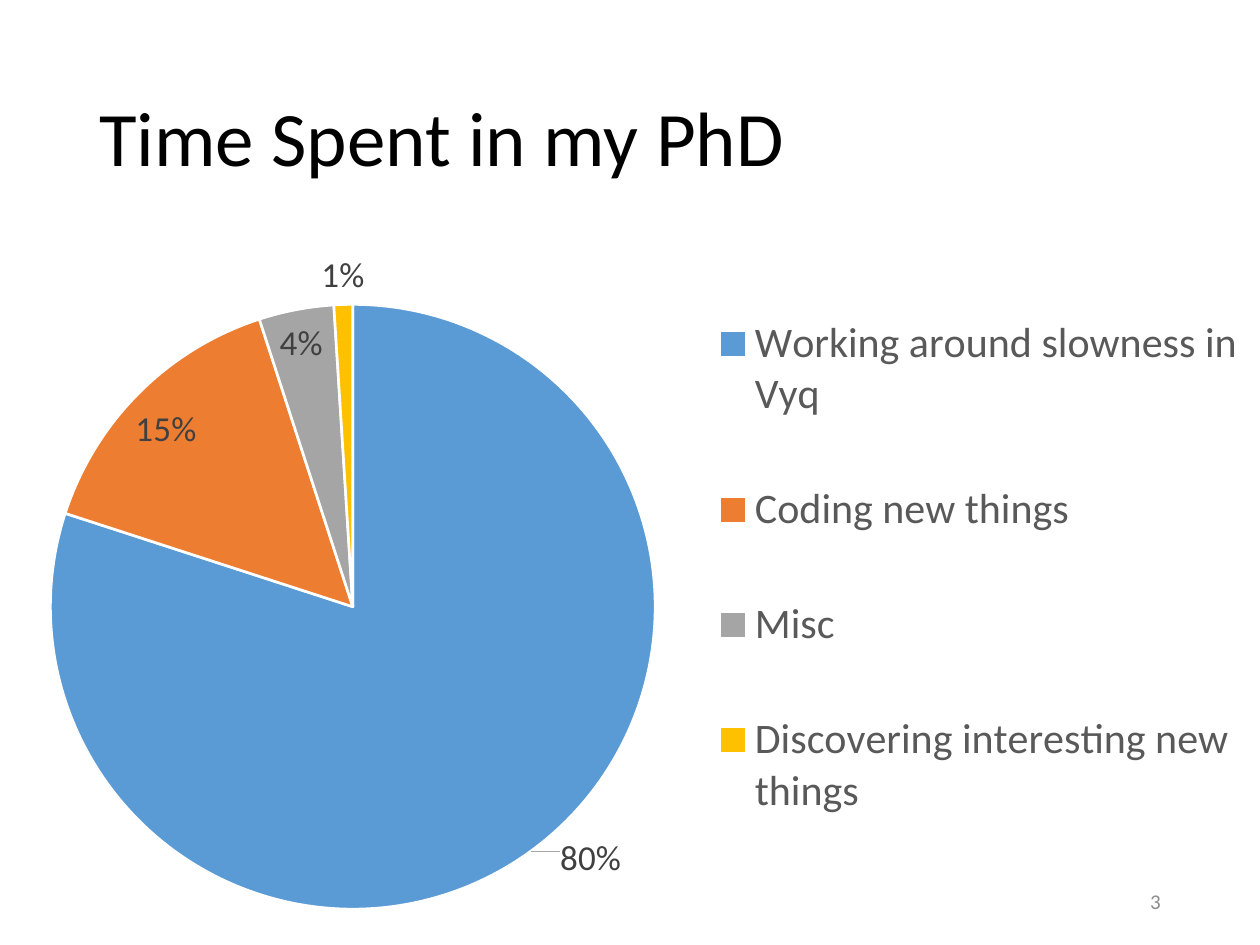
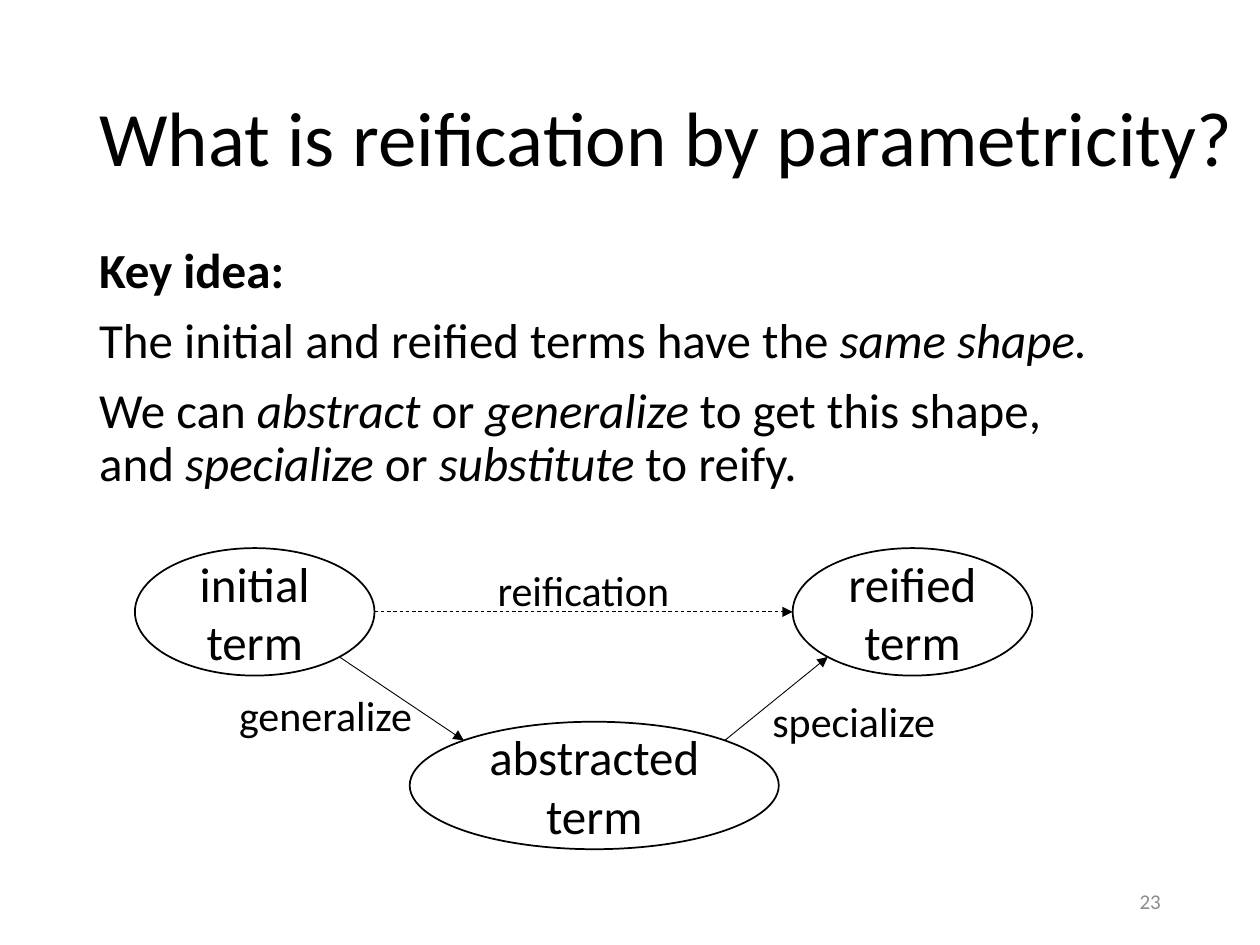
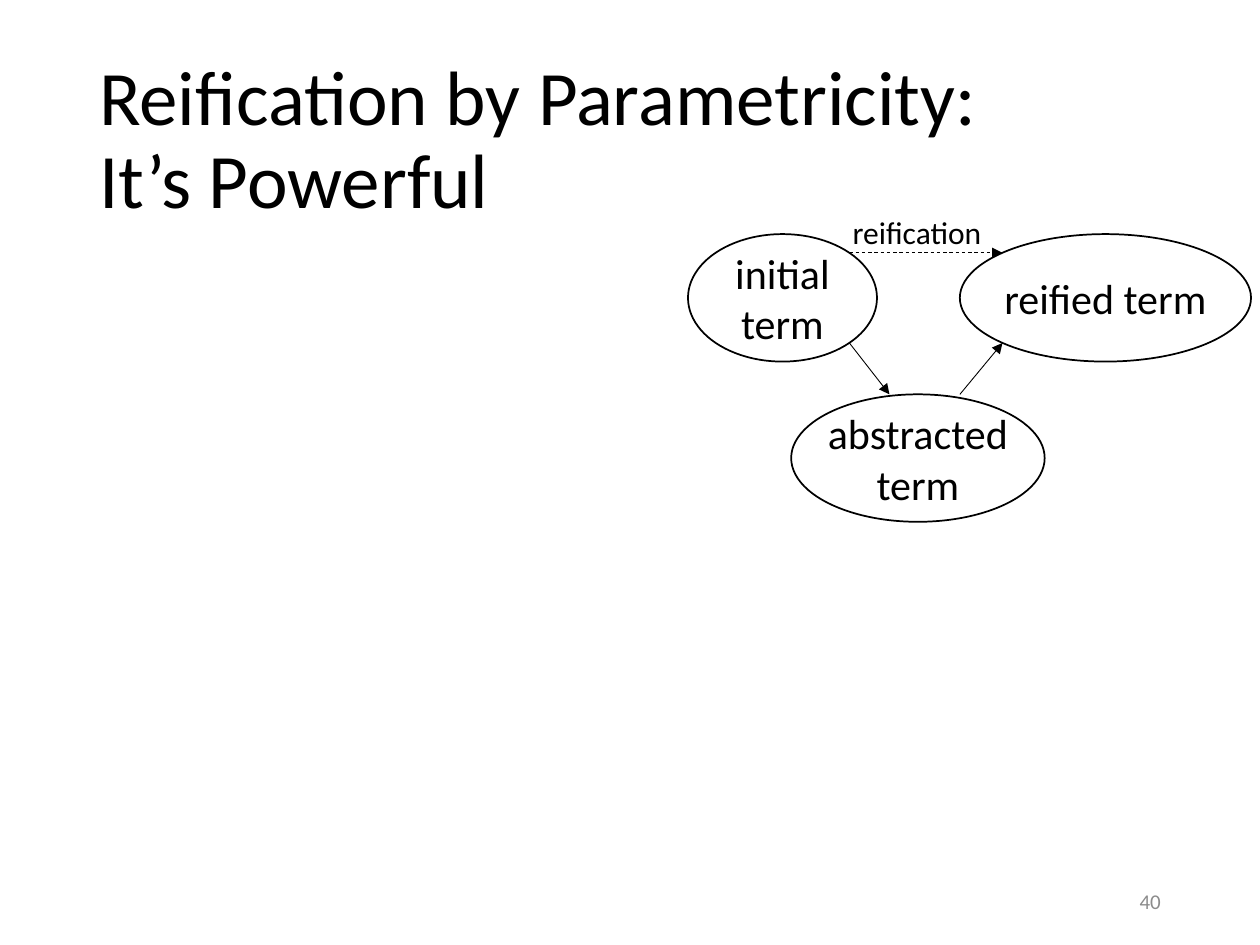
from math import sqrt

from lxml import etree
from pptx import Presentation
from pptx import util as u
from pptx.chart.data import CategoryChartData
from pptx.dml.color import RGBColor
from pptx.enum import chart as charts
from pptx.enum import dml, shapes, text
from pptx.oxml import parse_xml
from pptx.oxml.ns import nsdecls, qn

FONT = "Calibri"
BLACK = RGBColor(0x00, 0x00, 0x00)
WHITE = RGBColor(0xFF, 0xFF, 0xFF)
NUMBER_GREY = RGBColor(0x8C, 0x8C, 0x8C)
LEGEND_GREY = RGBColor(0x59, 0x59, 0x59)
LABEL_GREY = RGBColor(0x40, 0x40, 0x40)
LEADER_GREY = RGBColor(0xA6, 0xA6, 0xA6)
SLICE_COLOURS = [
    RGBColor(0x5B, 0x9B, 0xD5),
    RGBColor(0xED, 0x7D, 0x31),
    RGBColor(0xA5, 0xA5, 0xA5),
    RGBColor(0xFF, 0xC0, 0x00),
]
OVAL_HEIGHT = 2.57
MARGIN = 1.75


def set_font(font, size, colour=BLACK):
    """Apply the deck's typeface with a size and a colour."""
    font.name = FONT
    font.size = u.Pt(size)
    font.color.rgb = colour


def add_text_box(slide, left, top, width, height, wrap=True):
    """Add an empty text box, in centimetres, and return its text frame."""
    box = slide.shapes.add_textbox(u.Cm(left), u.Cm(top), u.Cm(width), u.Cm(height))
    box.text_frame.word_wrap = wrap
    return box.text_frame


def add_base_slide(presentation, title, number, title_width=23.65):
    """Add a blank slide with the shared title and page number."""
    slide = presentation.slides.add_slide(presentation.slide_layouts[6])

    frame = add_text_box(slide, MARGIN, 1.02, title_width, 3.68)
    frame.vertical_anchor = text.MSO_ANCHOR.MIDDLE
    paragraph = frame.paragraphs[0]
    paragraph.text = title
    paragraph.line_spacing = 0.9
    set_font(paragraph.font, 44)

    frame = add_text_box(slide, 17.93, 17.65, 5.72, 1.02)
    frame.vertical_anchor = text.MSO_ANCHOR.MIDDLE
    paragraph = frame.paragraphs[0]
    paragraph.text = str(number)
    paragraph.alignment = text.PP_ALIGN.RIGHT
    set_font(paragraph.font, 12, NUMBER_GREY)
    return slide


def add_emphasised_text(paragraph, content):
    """Fill a paragraph; parts between asterisks become italic."""
    for index, part in enumerate(content.split("*")):
        for line_index, line in enumerate(part.split("\n")):
            if line_index:
                paragraph.add_line_break()
            if line:
                run = paragraph.add_run()
                run.text = line
                if index % 2:
                    run.font.italic = True


def add_body(slide, contents):
    """Add the body paragraphs, the first one as a bold lead."""
    frame = add_text_box(slide, MARGIN, 4.83, 22.63, 9.07)
    for index, content in enumerate(contents):
        paragraph = frame.add_paragraph() if index else frame.paragraphs[0]
        add_emphasised_text(paragraph, content)
        paragraph.line_spacing = 0.9
        paragraph.space_before = u.Pt(10)
        set_font(paragraph.font, 28)
        paragraph.font.bold = index == 0


def add_oval(slide, label, left, top, width, size, wrap):
    """Add an outlined term oval with a centred label."""
    oval = slide.shapes.add_shape(
        shapes.MSO_SHAPE.OVAL, u.Cm(left), u.Cm(top), u.Cm(width), u.Cm(OVAL_HEIGHT))
    oval.shadow.inherit = False
    oval.fill.solid()
    oval.fill.fore_color.rgb = WHITE
    oval.line.color.rgb = BLACK
    oval.line.width = u.Pt(1)
    frame = oval.text_frame
    frame.word_wrap = wrap
    frame.vertical_anchor = text.MSO_ANCHOR.MIDDLE
    paragraph = frame.paragraphs[0]
    paragraph.text = label
    paragraph.alignment = text.PP_ALIGN.CENTER
    set_font(paragraph.font, size)
    return oval


def rim_point(oval, across, down):
    """Return the diagonal rim point towards (across, down), each -1 or 1."""
    reach = 1 / sqrt(2)
    return (
        round(oval.left + oval.width / 2 * (1 + across * reach)),
        round(oval.top + oval.height / 2 * (1 + down * reach)),
    )


def add_arrow(slide, start, end, dashed=False):
    """Draw a thin arrow between two points."""
    arrow = slide.shapes.add_connector(shapes.MSO_CONNECTOR.STRAIGHT, *start, *end)
    arrow.line.color.rgb = BLACK
    arrow.line.width = u.Pt(0.5)
    if dashed:
        arrow.line.dash_style = dml.MSO_LINE.DASH
    line = arrow.line._get_or_add_ln()
    etree.SubElement(line, qn("a:tailEnd"), type="triangle")
    etree.SubElement(arrow._element.spPr, qn("a:effectLst"))


def add_arrow_label(slide, label, left, top, width, height, size):
    """Name an arrow with an unwrapped text box."""
    frame = add_text_box(slide, left, top, width, height, wrap=False)
    frame.auto_size = text.MSO_AUTO_SIZE.SHAPE_TO_FIT_TEXT
    frame.paragraphs[0].text = label
    set_font(frame.paragraphs[0].font, size)


def make_layout(inner=False, **fractions):
    """Build a manual chart layout from fractions of the chart area."""
    layout = parse_xml(f"<c:layout {nsdecls('c')}><c:manualLayout/></c:layout>")
    manual = layout[0]
    if inner:
        etree.SubElement(manual, qn("c:layoutTarget"), val="inner")
    if "w" in fractions:
        for mode in ("xMode", "yMode"):
            etree.SubElement(manual, qn(f"c:{mode}"), val="edge")
    for name, value in fractions.items():
        etree.SubElement(manual, qn(f"c:{name}"), val=str(value))
    return layout


def place(element, layout, after):
    """Put a layout behind the named child, replacing any earlier layout."""
    for earlier in element.findall(qn("c:layout")):
        element.remove(earlier)
    if after is None:
        element.insert(0, layout)
    else:
        element.find(qn(after)).addnext(layout)


def style_slice_labels(series):
    """Show percentages, with the largest slice's label on a leader line."""
    labels = series.data_labels
    labels.show_value = False
    labels.show_percentage = True
    labels.number_format = "0%"
    labels.number_format_is_linked = False
    labels.position = charts.XL_LABEL_POSITION.BEST_FIT
    set_font(labels.font, 20, LABEL_GREY)

    largest = series.points[0].data_label
    largest.position = charts.XL_LABEL_POSITION.BEST_FIT
    set_font(largest.font, 20, LABEL_GREY)
    element = largest._dLbl
    element.find(qn("c:showVal")).set("val", "0")
    element.find(qn("c:showPercent")).set("val", "1")
    place(element, make_layout(x=0.02, y=-0.03), "c:idx")

    group = labels._element
    leader = group.find(qn("c:showLeaderLines"))
    if leader is None:
        leader = etree.SubElement(group, qn("c:showLeaderLines"))
    leader.set("val", "1")
    leader.addnext(parse_xml(
        f"<c:leaderLines {nsdecls('c', 'a')}><c:spPr><a:ln w='9525'><a:solidFill>"
        f"<a:srgbClr val='{LEADER_GREY}'/></a:solidFill></a:ln></c:spPr></c:leaderLines>"))


def add_time_chart(slide, shares):
    """Add the pie of time shares with its legend on the right."""
    data = CategoryChartData()
    data.categories = list(shares)
    data.add_series("Series 1", list(shares.values()))
    chart = slide.shapes.add_chart(
        charts.XL_CHART_TYPE.PIE, u.Cm(0), u.Cm(4.7), u.Cm(25.4), u.Cm(14.35), data).chart
    set_font(chart.font, 10)
    chart.has_title = False
    chart.has_legend = True
    legend = chart.legend
    legend.position = charts.XL_LEGEND_POSITION.RIGHT
    legend.include_in_layout = False
    set_font(legend.font, 24, LEGEND_GREY)
    place(legend._element, make_layout(x=0.57, y=0.03, w=0.42, h=0.88), "c:legendPos")

    plot = chart.plots[0]
    plot.vary_by_categories = True
    series = plot.series[0]
    for index, colour in enumerate(SLICE_COLOURS):
        style = series.points[index].format
        style.fill.solid()
        style.fill.fore_color.rgb = colour
        style.line.color.rgb = WHITE
        style.line.width = u.Pt(1.5)
    style_slice_labels(series)
    plot_area = chart._chartSpace.chart.plotArea
    place(plot_area, make_layout(inner=True, x=0.04, y=0.1, w=0.48, h=0.85), None)


def add_time_slide(presentation):
    """Build the slide on how the time was spent."""
    slide = add_base_slide(presentation, "Time Spent in my PhD", 3, 21.9)
    add_time_chart(slide, {
        "Working around slowness in Vyq": 80,
        "Coding new things": 15,
        "Misc": 4,
        "Discovering interesting new things": 1,
    })


def add_idea_slide(presentation):
    """Build the slide that explains the key idea."""
    slide = add_base_slide(presentation, "What is reification by parametricity?", 23)
    add_body(slide, [
        "Key idea:",
        "The initial and reified terms have the *same shape.*",
        "We can *abstract *or *generalize* to get this shape,\n"
        "and *specialize *or *substitute* to reify.",
    ])
    initial = add_oval(slide, "initial term", 2.72, 11.05, 4.83, 28, True)
    abstracted = add_oval(slide, "abstracted term", 8.26, 14.55, 7.44, 28, True)
    reified = add_oval(slide, "reified term", 15.98, 11.05, 4.83, 28, True)
    add_arrow(slide, rim_point(initial, 1, 1), rim_point(abstracted, -1, -1))
    add_arrow(slide, rim_point(abstracted, 1, -1), rim_point(reified, -1, 1))
    middle = initial.top + initial.height // 2
    add_arrow(slide, (initial.left + initial.width, middle), (reified.left, middle), True)
    add_arrow_label(slide, "reification", 9.78, 11.25, 4.01, 1.27, 24)
    add_arrow_label(slide, "generalize", 4.57, 13.77, 4.04, 1.27, 24)
    add_arrow_label(slide, "specialize", 15.32, 13.89, 3.84, 1.27, 24)


def add_power_slide(presentation):
    """Build the slide with the small diagram beside the title."""
    slide = add_base_slide(
        presentation, "Reification by Parametricity:\nIt\u2019s Powerful", 40)
    initial = add_oval(slide, "initial\nterm", 13.87, 4.72, 3.81, 24, False)
    abstracted = add_oval(slide, "abstracted\nterm", 15.95, 7.95, 5.11, 24, False)
    reified = add_oval(slide, "reified term", 19.35, 4.72, 5.87, 24, False)
    add_arrow(slide, rim_point(initial, 1, 1), (u.Cm(17.93), abstracted.top))
    add_arrow(slide, (u.Cm(19.35), abstracted.top), rim_point(reified, -1, 1))
    add_arrow(slide, rim_point(initial, 1, -1), rim_point(reified, -1, -1), True)
    add_arrow_label(slide, "reification", 16.94, 4.17, 3.2, 1.02, 18)


def main():
    """Create the presentation and save it."""
    presentation = Presentation()
    presentation.slide_width = u.Cm(25.4)
    presentation.slide_height = u.Cm(19.05)
    add_time_slide(presentation)
    add_idea_slide(presentation)
    add_power_slide(presentation)
    presentation.save("out.pptx")


main()
